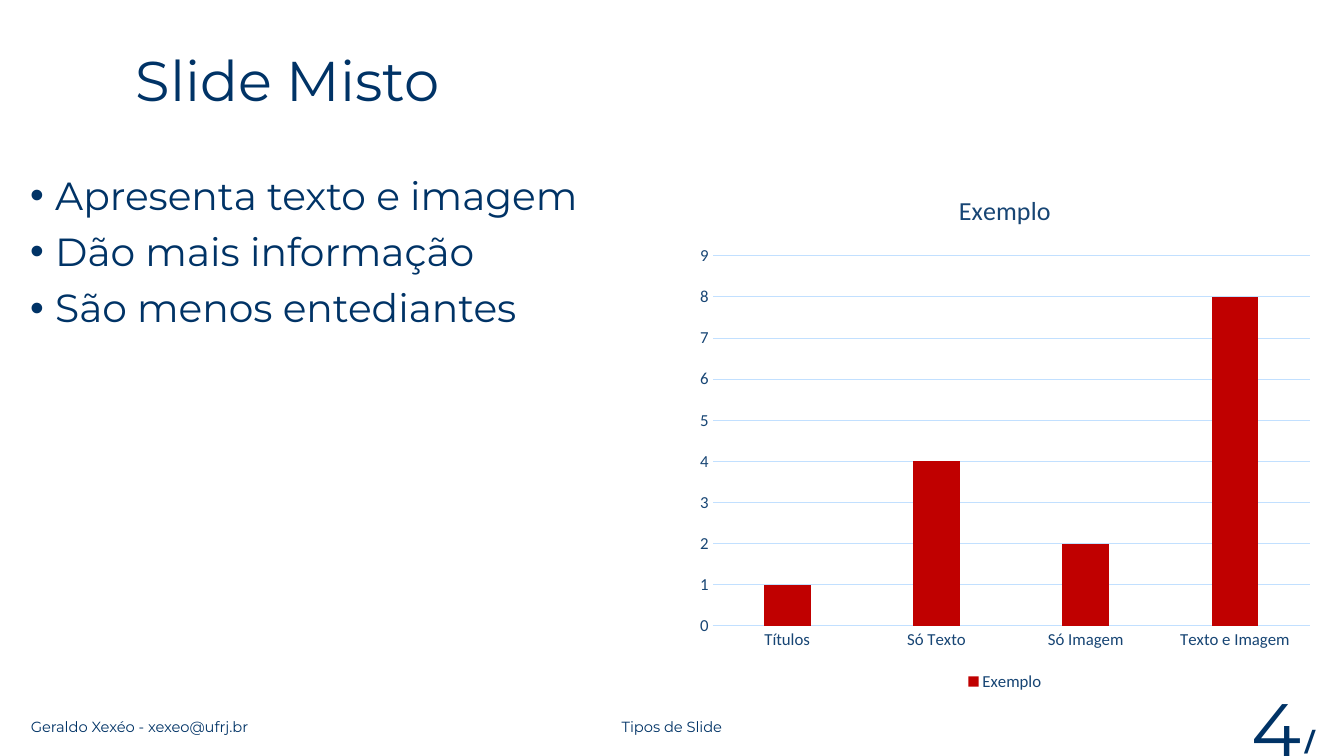
from dataclasses import dataclass

from lxml.etree import SubElement
from pptx import Presentation
from pptx.chart.data import CategoryChartData
from pptx.dml.color import RGBColor
from pptx.enum.chart import XL_CHART_TYPE, XL_LEGEND_POSITION, XL_TICK_MARK
from pptx.enum.text import MSO_ANCHOR, PP_ALIGN
from pptx.oxml.ns import qn
from pptx.util import Pt


@dataclass(frozen=True)
class Theme:
    text_font: str = "Montserrat"
    chart_font: str = "Calibri"
    navy: RGBColor = RGBColor(0x00, 0x33, 0x66)
    label: RGBColor = RGBColor(0x17, 0x45, 0x74)
    grid: RGBColor = RGBColor(0xC2, 0xE0, 0xFF)
    bar: RGBColor = RGBColor(0xC0, 0x00, 0x00)
    title: float = 40
    body: float = 28
    footer: float = 10.5
    number: float = 54
    total: float = 18
    chart_title: float = 18.6
    chart_label: float = 12


class SlideBuilder:
    def __init__(self, slide, theme):
        self.slide = slide
        self.theme = theme

    def style(self, font, size, color, name):
        font.size = Pt(size)
        font.color.rgb = color
        font.name = name

    def text(self, box, lines, size, align=PP_ALIGN.LEFT,
             anchor=MSO_ANCHOR.MIDDLE, bold=False):
        tf = self.slide.shapes.add_textbox(*map(Pt, box)).text_frame
        tf.word_wrap = True
        tf.vertical_anchor = anchor
        tf.text = "\n".join(lines)
        for p in tf.paragraphs:
            p.alignment = align
            for r in p.runs:
                self.style(r.font, size, self.theme.navy, self.theme.text_font)
                r.font.bold = bold
        return tf

    def bullets(self, box, lines):
        tf = self.text(box, lines, self.theme.body, anchor=MSO_ANCHOR.TOP)
        for p in tf.paragraphs:
            p.line_spacing = 0.9
            p.space_before = Pt(10)
            pPr = p._p.get_or_add_pPr()
            pPr.set("marL", str(Pt(18)))
            pPr.set("indent", str(-Pt(18)))
            SubElement(pPr, qn("a:buFont"), typeface="Arial")
            SubElement(pPr, qn("a:buChar"), char="•")

    def line(self, fmt):
        fmt.line.color.rgb = self.theme.grid
        fmt.line.width = Pt(0.75)

    def column_chart(self, box, name, values):
        th = self.theme
        data = CategoryChartData()
        data.categories = list(values)
        data.add_series(name, list(values.values()))
        chart = self.slide.shapes.add_chart(
            XL_CHART_TYPE.COLUMN_CLUSTERED, *map(Pt, box), data).chart
        self.style(chart.font, th.chart_label, th.label, th.chart_font)

        # Title and legend
        chart.has_title = True
        tf = chart.chart_title.text_frame
        tf.text = name
        for r in tf.paragraphs[0].runs:
            self.style(r.font, th.chart_title, th.label, th.chart_font)
            r.font.bold = False
        chart.has_legend = True
        chart.legend.position = XL_LEGEND_POSITION.BOTTOM
        chart.legend.include_in_layout = False
        self.style(chart.legend.font, th.chart_label, th.label, th.chart_font)

        # Axes
        for axis in (chart.category_axis, chart.value_axis):
            axis.major_tick_mark = axis.minor_tick_mark = XL_TICK_MARK.NONE
            self.style(axis.tick_labels.font, th.chart_label, th.label,
                       th.chart_font)
        self.line(chart.category_axis.format)
        axis = chart.value_axis
        axis.format.line.fill.background()
        axis.minimum_scale, axis.maximum_scale, axis.major_unit = 0, 9, 1
        axis.has_major_gridlines = True
        self.line(axis.major_gridlines.format)

        # Columns
        plot = chart.plots[0]
        plot.gap_width, plot.overlap = 219, -27
        plot.vary_by_categories = False
        fill = plot.series[0].format.fill
        fill.solid()
        fill.fore_color.rgb = th.bar


def main():
    prs = Presentation()
    prs.slide_width, prs.slide_height = Pt(960), Pt(540)
    th = Theme()
    s = SlideBuilder(prs.slides.add_slide(prs.slide_layouts[6]), th)

    # Title and content
    s.text((90, 0, 854.6, 113), ["Slide Misto"], th.title)
    s.bullets((14.4, 122.4, 453.6, 374.4),
              ["Apresenta texto e imagem", "Dão mais informação",
               "São menos entediantes"])
    s.column_chart((491, 122.4, 453.6, 374.4), "Exemplo",
                   {"Títulos": 1, "Só Texto": 4, "Só Imagem": 2,
                    "Texto e Imagem": 8})

    # Footer
    s.text((15, 505, 216, 28.8), ["Geraldo Xexéo - xexeo@ufrj.br"], th.footer)
    s.text((318, 505, 324, 28.8), ["Tipos de Slide"], th.footer,
           PP_ALIGN.CENTER)
    s.text((720.7, 505.4, 216, 28.8), ["4"], th.number, PP_ALIGN.RIGHT)
    s.text((925, 515, 31, 28.8), ["/"], th.total, anchor=MSO_ANCHOR.TOP,
           bold=True)

    prs.save("out.pptx")


if __name__ == "__main__":
    main()
